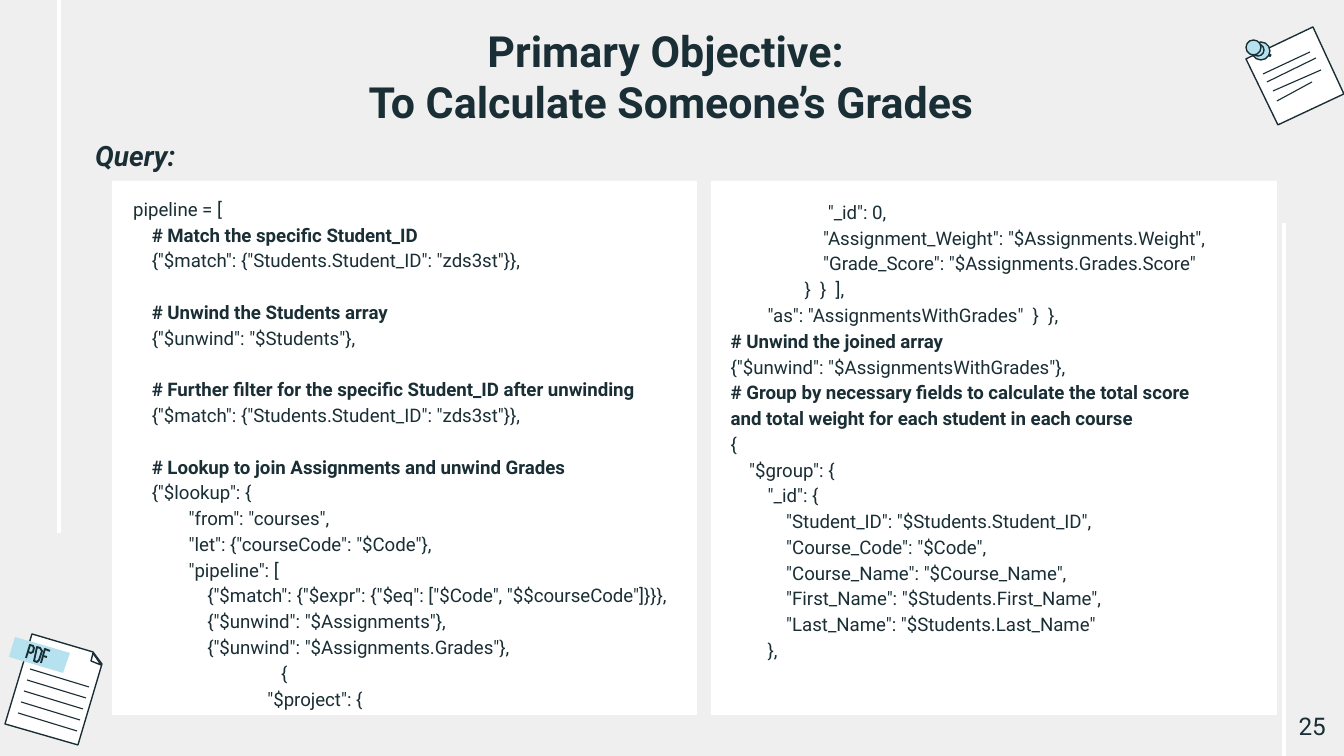
from pptx import Presentation
from pptx.dml.color import RGBColor
from pptx.enum.shapes import MSO_CONNECTOR, MSO_SHAPE
from pptx.enum.text import PP_ALIGN
from pptx.oxml.ns import qn
from pptx.util import Emu, Pt
from lxml import etree

RECTANGLE, OVAL = MSO_SHAPE.RECTANGLE, MSO_SHAPE.OVAL
STRAIGHT = MSO_CONNECTOR.STRAIGHT
LEFT, CENTER, RIGHT = PP_ALIGN.LEFT, PP_ALIGN.CENTER, PP_ALIGN.RIGHT

INK = RGBColor(0x1A, 0x2E, 0x35)
WHITE = RGBColor(0xFF, 0xFF, 0xFF)
SKY = RGBColor(0xB6, 0xE1, 0xEE)
GREY = RGBColor(0xEF, 0xEF, 0xEF)
FONT = "Roboto"

SLIDE_W, SLIDE_H = 1344, 756
PX = 9144000 / SLIDE_W
INDENT = 37 / 2  # px per indent level of the code
LINE_SPACING = 1.15
BLANK_LINE = 13.8  # points

TITLE = ["Primary Objective: ", "To Calculate Someone’s Grades"]
HEADING = "Query:"
PAGE_NUMBER = "25"

# Indent level and text; lines that start with "#" are comments.
# An empty line is a gap before the next one.
LOOKUP_CODE = [
    (0, 'pipeline = ['),
    (1, '# Match the specific Student_ID'),
    (1, '{"$match": {"Students.Student_ID": "zds3st"}},'),
    (0, ''),
    (1, '# Unwind the Students array'),
    (1, '{"$unwind": "$Students"},'),
    (0, ''),
    (1, '# Further filter for the specific Student_ID after unwinding'),
    (1, '{"$match": {"Students.Student_ID": "zds3st"}},'),
    (0, ''),
    (1, '# Lookup to join Assignments and unwind Grades'),
    (1, '{"$lookup": {'),
    (3, '"from": "courses",'),
    (3, '"let": {"courseCode": "$Code"},'),
    (3, '"pipeline": ['),
    (4, '{"$match": {"$expr": {"$eq": ["$Code", "$$courseCode"]}}},'),
    (4, '{"$unwind": "$Assignments"},'),
    (4, '{"$unwind": "$Assignments.Grades"},'),
    (8, '{'),
    (7.25, '"$project": {'),
]
GROUP_CODE = [
    (6.25, '"_id": 0,'),
    (6, '"Assignment_Weight": "$Assignments.Weight",'),
    (6, '"Grade_Score": "$Assignments.Grades.Score"'),
    (5, '}  }  ],'),
    (3, '"as": "AssignmentsWithGrades"  }  },'),
    (1, '# Unwind the joined array'),
    (1, '{"$unwind": "$AssignmentsWithGrades"},'),
    (1, '# Group by necessary fields to calculate the total score'),
    (1, '# and total weight for each student in each course'[2:]),
    (1, '{'),
    (2, '"$group": {'),
    (3, '"_id": {'),
    (4, '"Student_ID": "$Students.Student_ID",'),
    (4, '"Course_Code": "$Code",'),
    (4, '"Course_Name": "$Course_Name",'),
    (4, '"First_Name": "$Students.First_Name",'),
    (4, '"Last_Name": "$Students.Last_Name"'),
    (3, '},'),
]
COMMENT_STARTS = ("#", "and total")

# Left, top, width, height
PANELS = [(711, 181, 566, 534), (112, 181, 585, 534)]
CODE_BOXES = [((120, 181, 591, 575), LOOKUP_CODE), ((699, 184, 591, 571), GROUP_CODE)]
SIDE_RULES = [(59, 0, 59, 533), (1284, 223, 1284, 756)]

PDF_PAGE = [(32, 634), (93, 652), (102, 664), (78, 745), (5, 724)]
PDF_FOLD = [(93, 653), (91, 661), (101, 665)]
PDF_LABEL = [(15, 637), (9, 657), (63, 673), (70, 653)]
PDF_LETTERS = [
    [(26, 658), (30, 645), (33, 646), (34, 648), (33, 652), (31, 653), (28, 652)],
    [(34, 661), (37, 647), (40, 648), (42, 651), (39, 660), (37, 662), (34, 661)],
    [(41, 663), (45, 649), (50, 651)],
    [(43, 656), (47, 657)],
]
PDF_RULES = [(30 - 3 * i, 669 + 11 * i, 89 - 3 * i, 687 + 11 * i) for i in range(5)]

NOTE_PAGE = [(1246, 59), (1313, 27), (1344, 94), (1278, 125)]
NOTE_RULES = [(1263, 74, 1310, 52), (1267, 82, 1316, 58),
              (1273, 91, 1321, 70), (1277, 101, 1312, 82)]
PIN_NEEDLE = (1266, 53, 1271, 56)
PIN_DISCS = [(1252, 42, 18), (1252, 44, 12), (1246, 40, 15)]  # left, top, diameter


def px(*lengths):
    return [Emu(round(length * PX)) for length in lengths]


def paint(shape, fill, line=None, width=0.75):
    shape.shadow.inherit = False
    if fill is None:
        shape.fill.background()
    else:
        shape.fill.solid()
        shape.fill.fore_color.rgb = fill
    if line is None:
        shape.line.fill.background()
    else:
        shape.line.color.rgb = line
        shape.line.width = Pt(width)


def add_preset(kind, box, fill, line=None):
    paint(shapes.add_shape(kind, *px(*box)), fill, line)


def add_outline(points, fill, line=None, close=True, width=0.75):
    builder = shapes.build_freeform(*points[0], scale=PX)
    builder.add_line_segments(points[1:], close=close)
    paint(builder.convert_to_shape(), fill, line, width)


def add_rule(ends, color, width):
    rule = shapes.add_connector(STRAIGHT, *px(*ends))
    rule.line.color.rgb = color
    rule.line.width = Pt(width)
    etree.SubElement(rule._element.spPr, qn("a:effectLst"))


def add_text_frame(box):
    frame = shapes.add_textbox(*px(*box)).text_frame
    frame.word_wrap = True
    frame.margin_left = frame.margin_right = Pt(7.2)
    frame.margin_top = frame.margin_bottom = Pt(7.2)
    return frame


def next_paragraph(frame):
    first = frame.paragraphs[0]
    return frame.add_paragraph() if first.runs else first


def add_run(paragraph, text, size, bold=False, italic=False):
    run = paragraph.add_run()
    run.text = text
    font = run.font
    font.name, font.size, font.bold, font.italic = FONT, Pt(size), bold, italic
    font.color.rgb = INK


def add_label(box, lines, size, align, bold=False, italic=False):
    frame = add_text_frame(box)
    for line in lines:
        paragraph = next_paragraph(frame)
        paragraph.alignment = align
        add_run(paragraph, line, size, bold, italic)


def add_code(box, lines):
    frame = add_text_frame(box)
    gap = 0
    for level, text in lines:
        if not text:
            gap = BLANK_LINE
            continue
        paragraph = next_paragraph(frame)
        paragraph.line_spacing = LINE_SPACING
        paragraph.space_before = Pt(gap)
        paragraph._p.get_or_add_pPr().set("marL", str(round(level * INDENT * PX)))
        add_run(paragraph, text, 10, bold=text.startswith(COMMENT_STARTS))
        gap = 0


prs = Presentation()
prs.slide_width, prs.slide_height = px(SLIDE_W, SLIDE_H)
slide = prs.slides.add_slide(prs.slide_layouts[6])
slide.background.fill.solid()
slide.background.fill.fore_color.rgb = GREY
shapes = slide.shapes

add_outline(PDF_PAGE, WHITE, INK)
add_outline(PDF_FOLD, WHITE, INK)
add_outline(PDF_LABEL, SKY)
for stroke in PDF_LETTERS:
    add_outline(stroke, None, INK, close=False, width=1)
add_outline(NOTE_PAGE, WHITE, INK)
for ends in PDF_RULES + NOTE_RULES:
    add_rule(ends, INK, 0.6)
add_rule(PIN_NEEDLE, INK, 1.5)
for left, top, diameter in PIN_DISCS:
    add_preset(OVAL, (left, top, diameter, diameter), SKY, INK)

for ends in SIDE_RULES:
    add_rule(ends, WHITE, 2.25)
for panel in PANELS:
    add_preset(RECTANGLE, panel, WHITE)

add_label((105, 11, 1133, 85), TITLE, 23, CENTER, bold=True)
for box, code in CODE_BOXES:
    add_code(box, code)
add_label((82, 125, 282, 46), [HEADING], 15, LEFT, bold=True, italic=True)
add_label((1258, 698, 81, 58), [PAGE_NUMBER], 13, RIGHT)

prs.save("out.pptx")
